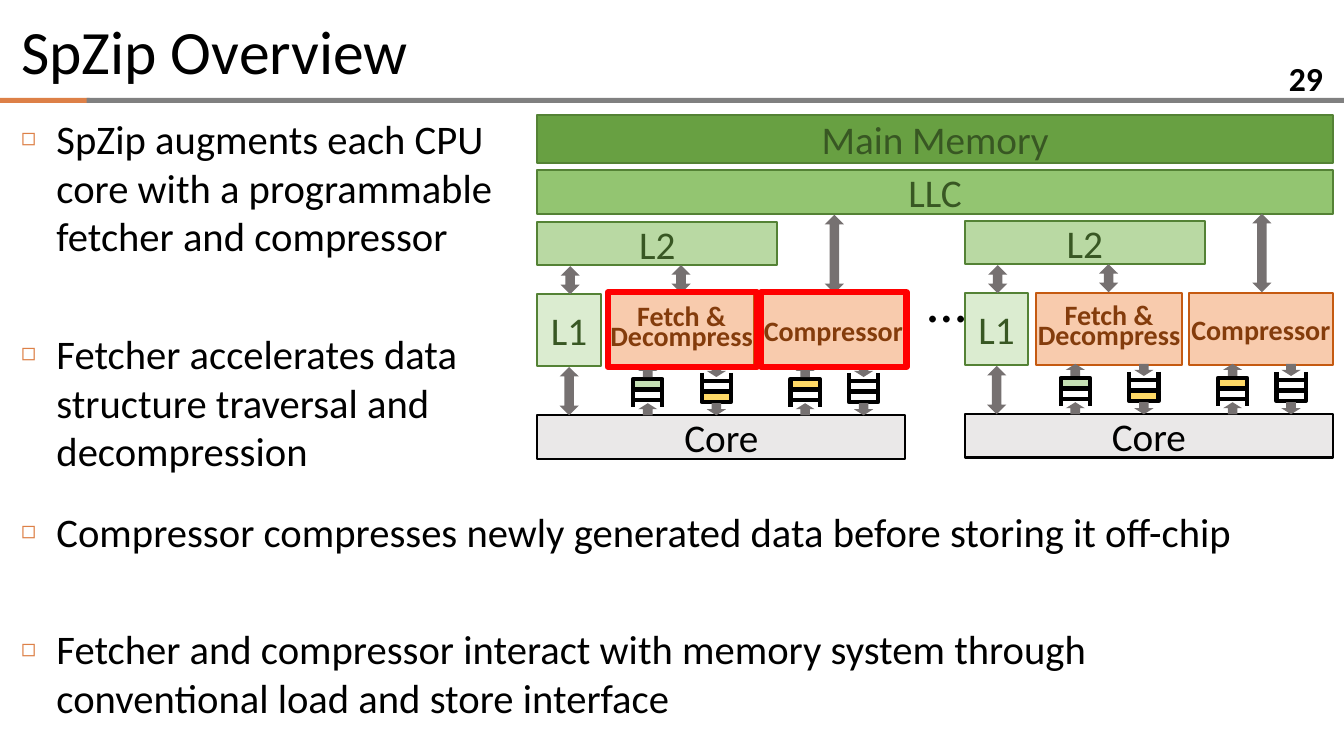
from lxml import etree
from pptx import Presentation, util as u
from pptx.dml.color import RGBColor
from pptx.enum import shapes, text
from pptx.oxml.ns import qn

PX = 9144  # EMU per px, 100 px to the inch
FONT = "Calibri"
BLACK = RGBColor(0, 0, 0)
ORANGE = RGBColor(0xDD, 0x80, 0x47)
RULE_GRAY = RGBColor(0x80, 0x80, 0x80)
ARROW_GRAY = RGBColor(0x76, 0x71, 0x71)
CORE_GRAY = RGBColor(0xEA, 0xE8, 0xE8)
RED = RGBColor(0xFF, 0, 0)
GREEN_LINE = RGBColor(0x54, 0x82, 0x35)
GREEN_TEXT = RGBColor(0x38, 0x57, 0x23)
MEMORY = RGBColor(0x68, 0xA0, 0x42)
LLC = RGBColor(0x93, 0xC5, 0x71)
L2 = RGBColor(0xB9, 0xD9, 0xA3)
L1 = RGBColor(0xDB, 0xEC, 0xD0)
PEACH = RGBColor(0xF8, 0xCB, 0xAD)
RUST_LINE = RGBColor(0xC5, 0x5A, 0x11)
RUST_TEXT = RGBColor(0x84, 0x3C, 0x0C)
MINT = RGBColor(0xC5, 0xE0, 0xB4)
YELLOW = RGBColor(0xFF, 0xD9, 0x66)

TITLE = "SpZip Overview"
PAGE = "29"
BULLETS = [  # box, items
    ((11, 108, 495, 390),
     ["SpZip augments each CPU core with a programmable fetcher and compressor",
      "Fetcher accelerates data structure traversal and decompression"]),
    ((11, 498, 1284, 236),
     ["Compressor compresses newly generated data before storing it off-chip",
      "Fetcher and compressor interact with memory system through "
      "conventional load and store interface"]),
]
RULES = [((0, 97, 89, 5), ORANGE), ((86, 97, 1247, 5), RULE_GRAY)]
SHARED = [("LLC", (533, 169, 789, 43), LLC),
          ("Main Memory", (533, 114, 789, 48), MEMORY)]
CORE_OFFSETS = [(0, 0), (424, -1)]
CACHES = [("L2", (533, 220, 238, 43), L2), ("L1", (533, 292, 63, 71), L1)]
ENGINES = [("Fetch & Decompress", (604, 292, 144, 71), 0.6),
           ("Compressor", (755, 292, 143, 71), None)]
CORE = ("Core", (533, 412, 365, 43))
LINKS = [(666, 263, 28), (818, 213, 78), (555, 364, 48), (556, 264, 28)]
QUEUES = [  # left, points up, top slot, bottom slot
    (628, True, MINT, None), (696, False, None, YELLOW),
    (784, True, YELLOW, None), (842, False, None, None)]
QUEUE_W, SLOT_H, SLOT_STEP = 29, 10, 11
HIGHLIGHTS = [(603, 290, 148, 74), (755, 290, 144, 74)]

KIND = shapes.MSO_SHAPE
CENTER = text.PP_ALIGN.CENTER
MIDDLE = text.MSO_ANCHOR.MIDDLE


def emu(box):
    return [v * PX for v in box]


def place(sp, box):
    sp.left, sp.top, sp.width, sp.height = emu(box)


def add_run(p, words, size, color=BLACK, bold=False):
    r = p.add_run()
    r.text = words
    f = r.font
    f.name, f.size, f.bold = FONT, u.Pt(size), bold
    f.color.rgb = color


def add_box(s, box, fill=None, line=None, weight=1.5, kind=KIND.RECTANGLE):
    sp = s.shapes.add_shape(kind, *emu(box))
    sp.shadow.inherit = False
    if fill is None:
        sp.fill.background()
    else:
        sp.fill.solid()
        sp.fill.fore_color.rgb = fill
    if line is None:
        sp.line.fill.background()
    else:
        sp.line.color.rgb = line
        sp.line.width = u.Pt(weight)
    return sp


def add_label(sp, words, color, size=28, bold=False):
    tf = sp.text_frame
    tf.word_wrap = True
    tf.vertical_anchor = MIDDLE
    p = tf.paragraphs[0]
    p.alignment = CENTER
    add_run(p, words, size, color, bold)
    return p


def add_text(s, box, words, size, align, bold=False):
    tf = s.shapes.add_textbox(*emu(box)).text_frame
    tf.word_wrap = True
    p = tf.paragraphs[0]
    p.alignment = align
    add_run(p, words, size, bold=bold)
    return tf


def add_bullet(p):
    pPr = p._p.get_or_add_pPr()
    pPr.set("marL", str(35 * PX))
    pPr.set("indent", str(-35 * PX))
    clr = etree.SubElement(pPr, qn("a:buClr"))
    etree.SubElement(clr, qn("a:srgbClr"), val=str(ORANGE))
    etree.SubElement(pPr, qn("a:buSzPct"), val="60000")
    etree.SubElement(pPr, qn("a:buFont"), typeface=FONT)
    etree.SubElement(pPr, qn("a:buChar"), char="◻")


def fill_list(ph, box, items):
    place(ph, box)
    tf = ph.text_frame
    tf.auto_size = text.MSO_AUTO_SIZE.NONE
    for i, item in enumerate(items):
        p = tf.add_paragraph() if i else tf.paragraphs[0]
        p.space_before = u.Pt(49 if i else 7)
        add_bullet(p)
        add_run(p, item, 29)


def add_line(s, x, y1, y2):
    ln = s.shapes.add_connector(shapes.MSO_CONNECTOR.STRAIGHT, *emu((x, y1, x, y2)))
    ln.line.color.rgb = BLACK
    ln.line.width = u.Pt(3)
    etree.SubElement(ln._element.spPr, qn("a:effectLst"))


def add_queue(s, x, dy, up, slots):
    """Two slots, open prongs on the entry side, an arrow in and an arrow out."""
    top = (376 if up else 378) + dy
    for i, fill in enumerate(slots):
        add_box(s, (x, top + i * SLOT_STEP, QUEUE_W, SLOT_H), fill, BLACK, 3)
    prong = (396 if up else 370) + dy
    for edge in (x, x + QUEUE_W):
        add_line(s, edge, prong, prong + 8)
    for y in (362, 400):
        add_box(s, (x + 5, y + dy, 19, 12), ARROW_GRAY,
                kind=KIND.UP_ARROW if up else KIND.DOWN_ARROW)


def add_core(s, dx, dy):
    def shift(box):
        return (box[0] + dx, box[1] + dy, *box[2:])

    for words, box, spacing in ENGINES:
        sp = add_box(s, shift(box), PEACH, RUST_LINE, kind=KIND.ROUNDED_RECTANGLE)
        sp.adjustments[0] = 0
        sp.text_frame.margin_left = sp.text_frame.margin_right = 0
        p = add_label(sp, words, RUST_TEXT, 20, True)
        if spacing:
            p.line_spacing = spacing
    words, box = CORE
    add_label(add_box(s, shift(box), CORE_GRAY, BLACK), words, BLACK)
    for x, up, *slots in QUEUES:
        add_queue(s, x + dx, dy, up, slots)
    for words, box, fill in CACHES:
        add_label(add_box(s, shift(box), fill, GREEN_LINE), words, GREEN_TEXT)
    for x, y, h in LINKS:
        add_box(s, shift((x, y, 19, h)), ARROW_GRAY, kind=KIND.UP_DOWN_ARROW)


def main():
    prs = Presentation()
    prs.slide_width, prs.slide_height = 1333 * PX, 750 * PX
    s = prs.slides.add_slide(prs.slide_layouts[3])
    for box, fill in RULES:
        add_box(s, box, fill)

    title = s.shapes.title
    place(title, (11, 8, 1311, 83))
    title.text_frame.vertical_anchor = MIDDLE
    p = title.text_frame.paragraphs[0]
    p.alignment = text.PP_ALIGN.LEFT
    add_run(p, TITLE, 44)
    for idx, (box, items) in enumerate(BULLETS, 1):
        fill_list(s.placeholders[idx], box, items)
    page = add_text(s, (1222, 63, 100, 28), PAGE, 24, text.PP_ALIGN.RIGHT, True)
    page.vertical_anchor = MIDDLE

    for words, box, fill in SHARED:
        add_label(add_box(s, box, fill, GREEN_LINE), words, GREEN_TEXT)
    add_text(s, (910, 260, 35, 77), "…", 40, CENTER)
    for dx, dy in CORE_OFFSETS:
        add_core(s, dx, dy)
    for box in HIGHLIGHTS:
        add_box(s, box, line=RED, weight=4.5)
    prs.save("out.pptx")


if __name__ == "__main__":
    main()
